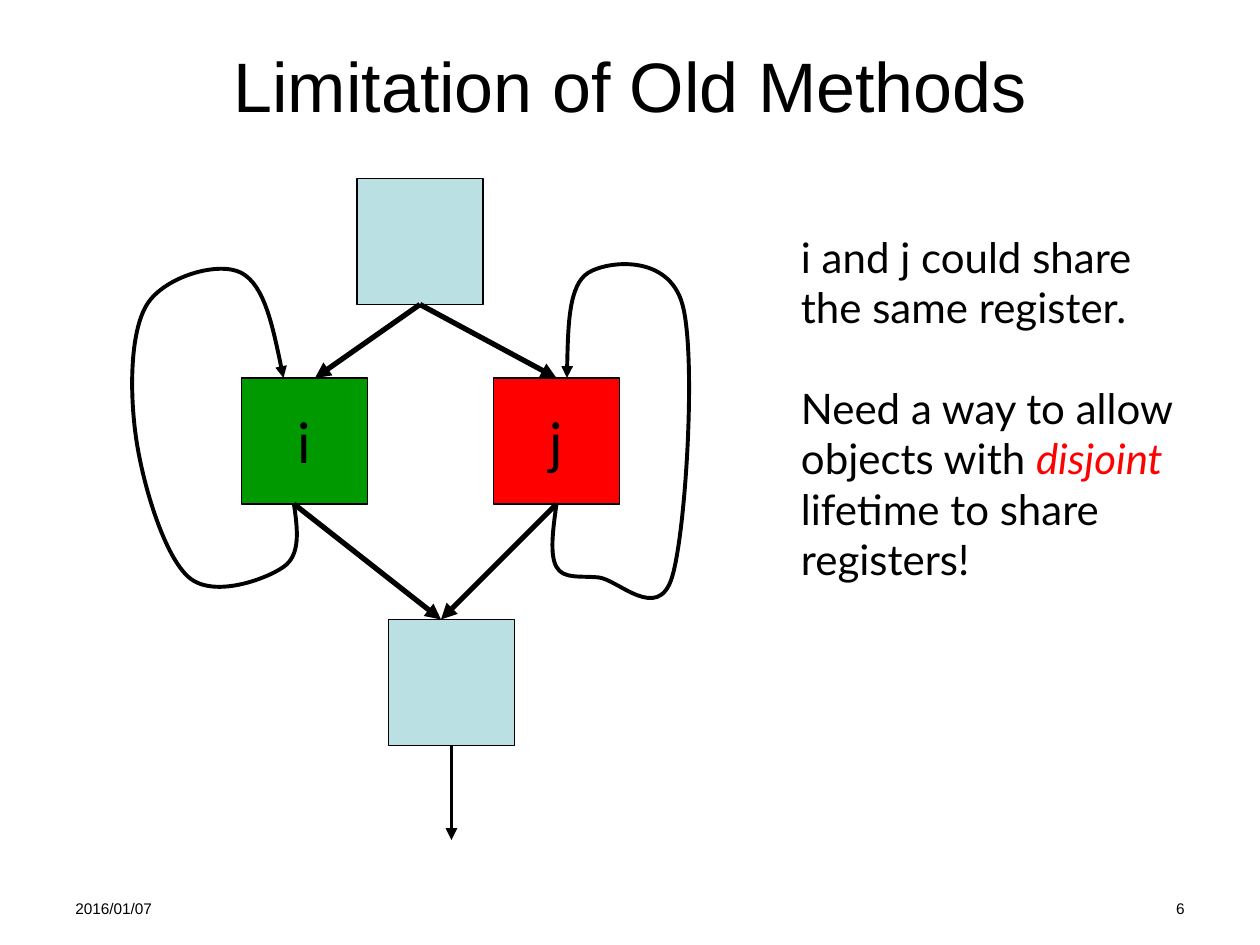
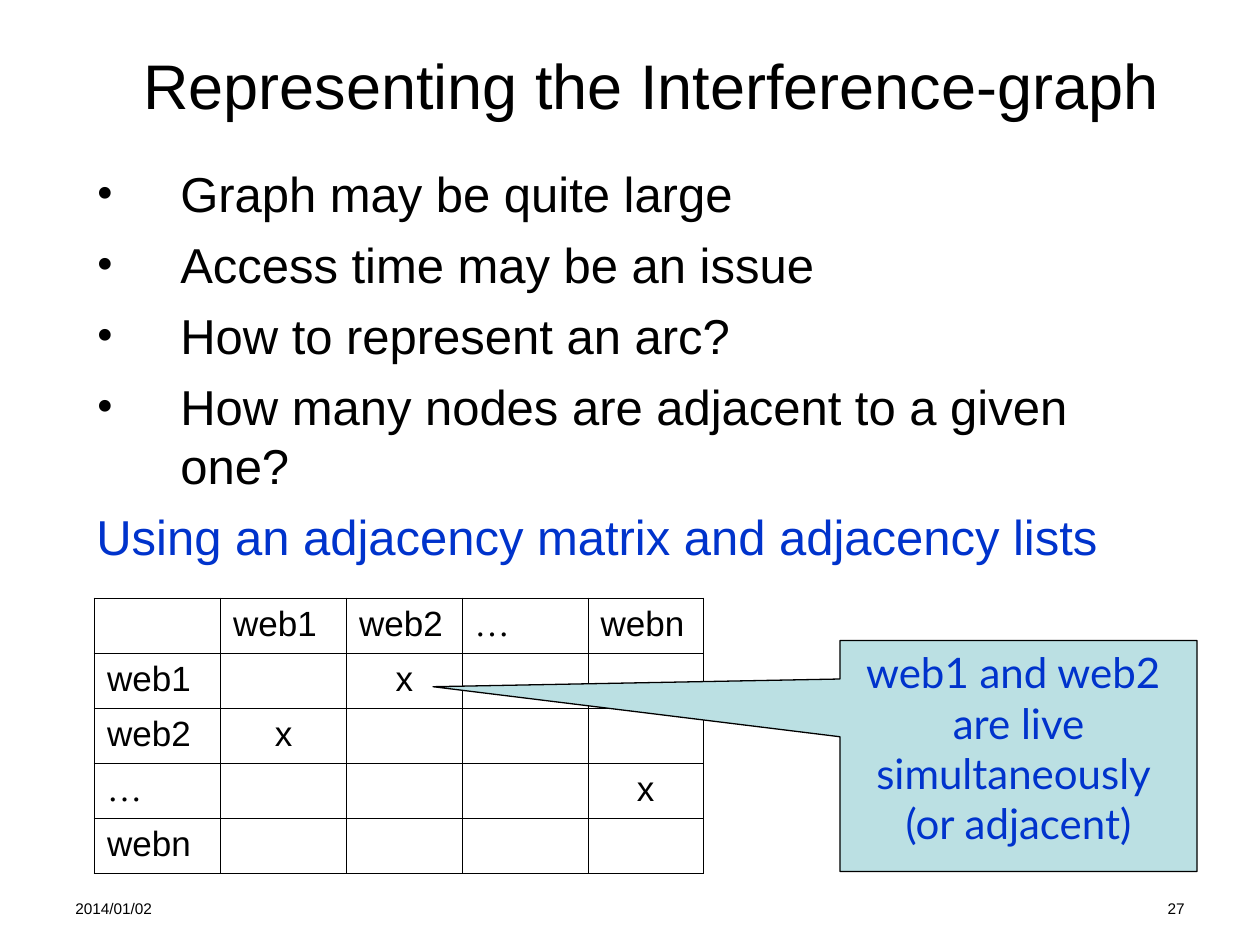
from lxml.etree import SubElement
from pptx import Presentation
from pptx.dml.color import RGBColor
from pptx.enum.shapes import MSO_CONNECTOR, MSO_SHAPE
from pptx.enum.text import MSO_ANCHOR, PP_ALIGN
from pptx.oxml import parse_xml
from pptx.oxml.ns import nsdecls, qn
from pptx.util import Inches, Pt

# The slide is a grid of 120 columns by 90 rows, twelve to the inch.
UNIT = Inches(1) / 12
BLACK, PALE, GREEN, RED, BLUE = "000000", "BBE0E3", "009900", "FF0000", "0033CC"
LEFT, CENTER, RIGHT = PP_ALIGN.LEFT, PP_ALIGN.CENTER, PP_ALIGN.RIGHT


def grid(*cells):
    """Turn grid columns and rows into slide lengths."""
    return [round(n * UNIT) for n in cells]


def write(tf, lines, size, font="Arial", color=BLACK, align=LEFT, anchor=MSO_ANCHOR.TOP):
    tf.word_wrap = True
    tf.vertical_anchor = anchor
    tf.text = "\n".join(lines)
    for p in tf.paragraphs:
        p.alignment = align
        for r in p.runs:
            r.font.size = Pt(size)
            r.font.name = font
            r.font.color.rgb = RGBColor.from_string(color)


prs = Presentation()
prs.slide_width, prs.slide_height = grid(120, 90)

# Titles and footers
slides = []
for title, size, left, width, date, number in [
    ("Limitation of Old Methods", 40, 6, 108, "2016/01/07", "6"),
    ("Representing the Interference-graph", 36, 9, 106, "2014/01/02", "27"),
]:
    s = prs.slides.add_slide(prs.slide_layouts[6])
    slides.append(s)
    for text, x, align in [(date, 6, LEFT), (number, 86, RIGHT)]:
        tf = s.shapes.add_textbox(*grid(x, 85, 28, 3.2)).text_frame
        write(tf, [text], 8.8, align=align)
    tf = s.shapes.add_textbox(*grid(left, 3, width, 10)).text_frame
    write(tf, [title], size, align=CENTER, anchor=MSO_ANCHOR.MIDDLE)

# Slide 1: control-flow graph
s = slides[0]
blocks = {}
for name, x, y, color, label in [
    ("entry", 34, 17, PALE, ""),
    ("i", 23, 36, GREEN, "i"),
    ("j", 47, 36, RED, "j"),
    ("merge", 37, 59, PALE, ""),
]:
    sp = s.shapes.add_shape(MSO_SHAPE.RECTANGLE, *grid(x, y, 12, 12))
    sp.shadow.inherit = False
    sp.fill.solid()
    sp.fill.fore_color.rgb = RGBColor.from_string(color)
    sp.line.color.rgb = RGBColor.from_string(BLACK)
    sp.line.width = Pt(0.75)
    if label:
        write(sp.text_frame, [label], 32, "Lato", align=CENTER, anchor=MSO_ANCHOR.MIDDLE)
    blocks[name] = sp

arrows = []
for start, end, source, target, width in [
    ((40, 29), (30, 36), "entry", None, 3),
    ((40, 29), (53, 36), "entry", "j", 3),
    ((28, 48), (42, 59), None, None, 3),
    ((53, 48), (42, 59), "j", None, 3),
    ((43, 71), (43, 80), "merge", None, 2.25),
]:
    edge = s.shapes.add_connector(MSO_CONNECTOR.STRAIGHT, *grid(*start, *end))
    if source:
        edge.begin_connect(blocks[source], 2)
    if target:
        edge.end_connect(blocks[target], 0)
    arrows.append((edge, width))

# Self loops: smooth curves through knots, each tangent parallel to its neighbours' chord
for knots in [
    [(28, 48), (27, 54), (18, 55), (13, 42), (14, 29), (23, 26), (27, 36)],
    [(53, 48), (53, 54), (57, 55), (64, 55), (65, 29), (56, 26), (54, 36)],
]:
    handles = [((c[0] - a[0]) / 6, (c[1] - a[1]) / 6) for a, c in zip(knots, knots[2:])]
    before = [(x - dx, y - dy) for (x, y), (dx, dy) in zip(knots[1:], handles)]
    after = [(x + dx, y + dy) for (x, y), (dx, dy) in zip(knots[1:], handles)]
    first = [(a + b) / 2 for a, b in zip(knots[0], before[0])]
    last = [(a + b) / 2 for a, b in zip(knots[-1], after[-1])]
    builder = s.shapes.build_freeform(*grid(*knots[0]))
    for curve in zip([first] + after, before + [last], knots[1:]):
        builder.add_line_segments([grid(*point) for point in curve], close=False)
    loop = builder.convert_to_shape()
    # Every three points become one cubic segment
    segments = list(loop.element.iter(qn("a:lnTo")))
    for trio in zip(segments[::3], segments[1::3], segments[2::3]):
        outline = trio[0].getparent()
        cubic = SubElement(outline, qn("a:cubicBezTo"))
        for segment in trio:
            cubic.append(segment[0])
            outline.remove(segment)
    loop.fill.background()
    arrows.append((loop, 2.25))

for arrow, width in arrows:
    arrow.line.color.rgb = RGBColor.from_string(BLACK)
    arrow.line.width = Pt(width)
    spPr = arrow.element.spPr
    SubElement(spPr.find(qn("a:ln")), qn("a:tailEnd"), type="triangle")
    SubElement(spPr, qn("a:effectLst"))

tf = s.shapes.add_textbox(*grid(75.1, 21.43, 40, 34.8)).text_frame
write(tf, [
    "i and j could share",
    "the same register.",
    "Need a way to allow",
    "objects with ",
    "lifetime to share",
    "registers!",
], 24, "Lato")
tf.paragraphs[2].space_before = Pt(28.8)
r = tf.paragraphs[3].add_run()
r.text = "disjoint"
r.font.size = Pt(24)
r.font.name = "Lato"
r.font.italic = True
r.font.color.rgb = RGBColor.from_string(RED)

# Slide 2: questions, adjacency matrix and callout
s = slides[1]
tf = s.shapes.add_textbox(*grid(8, 15, 102, 72)).text_frame
write(tf, [
    "Graph may be quite large",
    "Access time may be an issue",
    "How to represent an arc?",
    "How many nodes are adjacent to a given one?",
    "Using an adjacency matrix and adjacency lists",
], 28)
*questions, answer = tf.paragraphs
for p in questions:
    pPr = p._p.get_or_add_pPr()
    indent = grid(8)[0]
    pPr.set("marL", str(indent))
    pPr.set("indent", str(-indent))
    SubElement(pPr, qn("a:buFont"), typeface="Times New Roman")
    SubElement(pPr, qn("a:buChar"), char="•")
for p in tf.paragraphs[1:]:
    p.space_before = Pt(7)
answer.runs[0].font.color.rgb = RGBColor.from_string(BLUE)

matrix = [
    ["", "web1", "web2", "…", "webn"],
    ["web1", "", "x", "", ""],
    ["web2", "x", "", "", ""],
    ["…", "", "", "", "x"],
    ["webn", "", "", "", ""],
]
end = len(matrix) - 1
table = s.shapes.add_table(5, 5, *grid(9, 57, 58, 26.2)).table
table.first_row = table.horz_banding = False
for column, width in zip(table.columns, grid(12, 12, 11, 12, 11)):
    column.width = width
for i, row in enumerate(matrix):
    table.rows[i].height = grid(5.24)[0]
    for j, text in enumerate(row):
        cell = table.cell(i, j)
        cell.fill.background()
        if text:
            font = "Times New Roman" if text == "…" else "Arial"
            write(cell.text_frame, [text], 20, font, align=CENTER if text == "x" else LEFT)
        outer = {"L": j == 0, "R": j == end, "T": i == 0, "B": i == end}
        for k, (side, is_outer) in enumerate(outer.items()):
            width = Pt(1.08 if is_outer else 0.45)
            cell._tc.get_or_add_tcPr().insert(k, parse_xml(
                f'<a:ln{side} {nsdecls("a")} w="{width}"><a:solidFill>'
                f'<a:srgbClr val="{BLACK}"/></a:solidFill></a:ln{side}>'
            ))

callout = s.shapes.add_shape(MSO_SHAPE.RECTANGULAR_CALLOUT, *grid(80, 61, 34, 22))
callout.adjustments[0] = -1.64
callout.adjustments[1] = -0.3
callout.shadow.inherit = False
callout.fill.solid()
callout.fill.fore_color.rgb = RGBColor.from_string(PALE)
callout.line.color.rgb = RGBColor.from_string(BLACK)
callout.line.width = Pt(0.75)
write(callout.text_frame, ["web1 and web2 ", "are live simultaneously ", "(or adjacent)"],
      24, "Lato", BLUE, CENTER)

prs.save("out.pptx")
